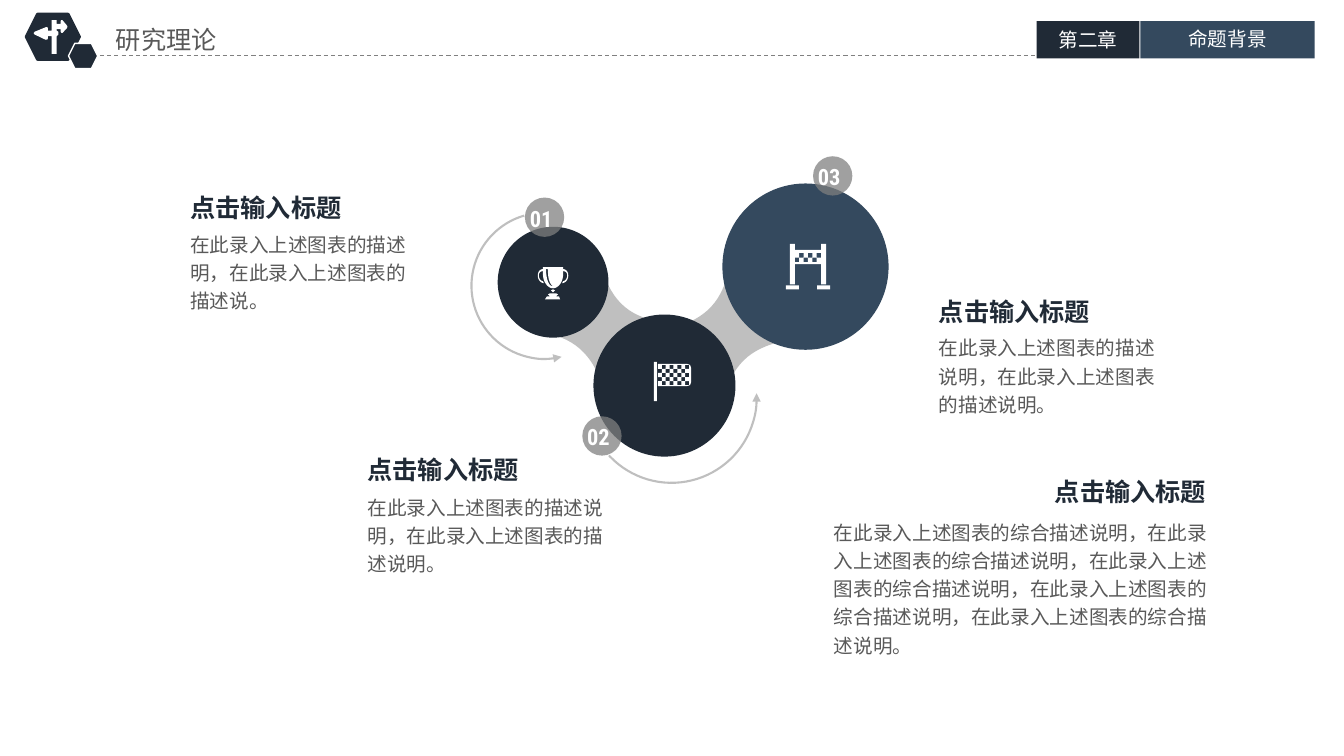
from dataclasses import dataclass
from itertools import product

from lxml import etree
from pptx import Presentation
from pptx import util as u
from pptx.dml.color import RGBColor
from pptx.enum import dml, shapes, text
from pptx.oxml.ns import qn

COLS, ROWS = 133.4, 75
NAVY, BLUE, WHITE = "202A36", "34495E", "FFFFFF"
DARK_GREY, GREY, LIGHT_GREY = "595959", "7F7F7F", "BFBFBF"
SANS, CONDENSED = "Noto Sans CJK SC", "Roboto Condensed"
MSO = shapes.MSO_SHAPE
Points = list[tuple[float, float]]

prs = Presentation()
prs.slide_width, prs.slide_height = u.Inches(13.34), u.Inches(7.5)
s = prs.slides.add_slide(prs.slide_layouts[6])


@dataclass
class Box:
    x: float
    y: float
    w: float
    h: float


@dataclass
class Stage:
    disc: Box
    color: str
    badge: tuple[float, float]
    icon: list[Points]


@dataclass
class Caption:
    title: str
    title_box: Box
    body: str
    body_box: Box
    align: str = "LEFT"
    title_pad: float = 1


@dataclass
class Tab:
    label: str
    box: Box
    label_y: float
    color: str


def col(n: float) -> int:
    return round(prs.slide_width * n / COLS)


def row(n: float) -> int:
    return round(prs.slide_height * n / ROWS)


def place(b: Box) -> tuple[int, int, int, int]:
    return col(b.x), row(b.y), col(b.w), row(b.h)


def rgb(color: str) -> RGBColor:
    return RGBColor.from_string(color)


def paint(sp, fill: str | None = None, line: str | None = None, width: float = 1,
          alpha: int = 100):
    sp.shadow.inherit = False
    if fill:
        sp.fill.solid()
        sp.fill.fore_color.rgb = rgb(fill)
        if alpha < 100:
            clr = sp.fill._xPr.find(".//" + qn("a:srgbClr"))
            etree.SubElement(clr, qn("a:alpha"), val=str(alpha * 1000))
    else:
        sp.fill.background()
    if line:
        sp.line.color.rgb = rgb(line)
        sp.line.width = u.Pt(width)
    else:
        sp.line.fill.background()
    return sp


def draw(kind: MSO, b: Box, **style):
    return paint(s.shapes.add_shape(kind, *place(b)), **style)


def write(words: str, b: Box, size: float = 14, color: str = DARK_GREY, bold: bool = False,
          font: str = SANS, align: str = "LEFT", anchor: str = "TOP", spacing: float = 1,
          pad: float = 1, grow: bool = True) -> None:
    tf = s.shapes.add_textbox(*place(b)).text_frame
    tf.word_wrap = True
    tf.auto_size = text.MSO_AUTO_SIZE.SHAPE_TO_FIT_TEXT if grow else text.MSO_AUTO_SIZE.NONE
    tf.vertical_anchor = text.MSO_ANCHOR[anchor]
    tf.margin_left = tf.margin_right = col(pad)
    tf.margin_top = tf.margin_bottom = row(pad / 2)
    p = tf.paragraphs[0]
    p.alignment = text.PP_ALIGN[align]
    p.line_spacing = spacing
    r = p.add_run()
    r.text = words
    r.font.size, r.font.bold, r.font.name = u.Pt(size), bold, font
    r.font.color.rgb = rgb(color)
    etree.SubElement(r._r.get_or_add_rPr(), qn("a:ea"), typeface=font)


def outline(contours: list[Points], fill: str) -> None:
    loops = [[(col(x), row(y)) for x, y in c] for c in contours]
    fb = s.shapes.build_freeform(*loops[0][0])
    fb.add_line_segments(loops[0][1:], close=True)
    for loop in loops[1:]:
        fb.move_to(*loop[0])
        fb.add_line_segments(loop[1:], close=True)
    paint(fb.convert_to_shape(), fill)


def rect(x: float, y: float, w: float, h: float) -> Points:
    return [(x, y), (x + w, y), (x + w, y + h), (x, y + h)]


def hole(points: Points) -> Points:
    return points[::-1]


def checks(b: Box, cols: int, rows: int, parity: int) -> list[Points]:
    w, h = b.w / cols, b.h / rows
    return [rect(b.x + i * w, b.y + j * h, w, h)
            for j, i in product(range(rows), range(cols)) if (i + j) % 2 == parity]


def curve(*ctrl: tuple[float, float], steps: int = 16) -> Points:
    weights = [((1 - t) ** 3, 3 * t * (1 - t) ** 2, 3 * t * t * (1 - t), t ** 3)
               for t in (i / steps for i in range(steps + 1))]
    return [(sum(k * c[0] for k, c in zip(ks, ctrl)), sum(k * c[1] for k, c in zip(ks, ctrl)))
            for ks in weights]


def mirror(points: Points, axis: float) -> Points:
    return [(2 * axis - x, y) for x, y in points]


def arc(b: Box, turn: float, start: float, end: float) -> None:
    sp = draw(MSO.ARC, b, line=LIGHT_GREY, width=1.5)
    sp.rotation = turn
    sp.adjustments[0], sp.adjustments[1] = start, end
    etree.SubElement(sp.line._get_or_add_ln(), qn("a:headEnd"), type="triangle")


SIGNPOST = [[(66.4, 25.2), (62.2, 20.2), (61, 19.9), (60.2, 20.8), (60.2, 23.7), (56.3, 23.7),
             (56.3, 19.9), (51.2, 19.9), (51.2, 30.3), (47.7, 30.3), (47.5, 27.4), (46, 26.8),
             (34.5, 31.5), (33.3, 33), (34.5, 34.3), (45.3, 39.5), (47, 39.3), (47.7, 38),
             (47.7, 35.9), (51.2, 35.9), (51.2, 53.4), (56.3, 53.4), (56.3, 36), (57.9, 34.3),
             (57.9, 31.5), (56.3, 30.4), (56.3, 29), (60.2, 29), (60.2, 31.5), (61, 32.7),
             (62.2, 32.5), (66.4, 28), (67, 26.5)]]
SIGNPOST = [[(x / 10, y / 10) for x, y in c] for c in SIGNPOST]

HANDLE = [*curve((55.9, 26.7), (56.8, 26.7), (56.4, 28.1), (55.8, 28.1)),
          *curve((55.9, 27.9), (56.2, 27.9), (56.4, 26.9), (55.9, 26.9))]
HANDLE = [*curve((55.9, 26.7), (56.6, 26.7), (56.6, 28), (55.8, 28.1)),
          *curve((55.9, 27.9), (56.4, 27.8), (56.5, 26.9), (55.9, 26.9))]
TROPHY = [
    [(53.9, 26.5), (55.9, 26.5),
     *curve((55.9, 27.2), (55.9, 28), (55.4, 28.6), (54.9, 28.6)),
     *curve((54.9, 28.6), (54.4, 28.6), (53.9, 28), (53.9, 27.2))],
    hole([*curve((54.4, 26.7), (54.4, 26.7), (54.3, 28), (54.9, 28.4)),
          *curve((54.9, 28.4), (54.2, 28.4), (54.2, 26.7), (54.2, 26.7))]),
    HANDLE,
    mirror(HANDLE, 54.9),
    [(54.7, 28.8), (54.9, 28.7), (55.1, 28.8), (54.9, 29)],
    [(54.4, 29.2), (54.6, 29.1), (55.2, 29.1), (55.4, 29.2), (55.2, 29.4), (54.6, 29.4)],
    [(54.3, 29.4), (55.5, 29.4), (55.6, 29.7), (54.1, 29.7)],
]
FLAG = [
    rect(64.9, 35.9, 0.3, 3.9),
    [(65.3, 36.1), (68.2, 36.1), (68.5, 36.2), (68.6, 36.5), (68.6, 37.9), (68.5, 38.2),
     (68.2, 38.3), (65.3, 38.3)],
    hole(rect(65.3, 36.2, 3.1, 2)),
    *checks(Box(65.3, 36.2, 3.1, 2), 8, 5, 0),
]
GATE = [
    rect(78.4, 24.2, 0.5, 4), rect(81.5, 24.2, 0.5, 4),
    rect(78, 28.3, 1.3, 0.4), rect(81.1, 28.3, 1.3, 0.4),
    rect(78.9, 24.8, 2.6, 1.4),
    *map(hole, checks(Box(78.9, 25.1, 2.6, 0.9), 6, 2, 1)),
]
STAGES = [
    Stage(Box(49.4, 22.5, 11, 11), NAVY, (52.1, 19.6), TROPHY),
    Stage(Box(58.9, 31.2, 14.1, 14.1), NAVY, (57.8, 41.3), FLAG),
    Stage(Box(71.7, 18.2, 16.5, 16.5), BLUE, (80.7, 15.5), GATE),
]
BRIDGES = [
    [(72.2, 27.3), *curve((78, 33.8), (74.2, 34.5), (72.7, 36.5), (72, 39.1)),
     *curve((66.2, 32.6), (68.8, 32.1), (71.3, 30.9), (72.2, 27.3))],
    [(53.8, 33), *curve((59.7, 26.5), (60.8, 30.3), (62.9, 31.5), (65.6, 31.9)),
     *curve((59.8, 38.4), (59.1, 35.9), (57.5, 33.5), (53.8, 33))],
]
TABS = [
    Tab("第二章", Box(102.9, 2.1, 10.2, 3.7), 2.4, NAVY),
    Tab("命题背景", Box(113.2, 2.1, 17.3, 3.7), 2.3, BLUE),
]
HEADING = "点击输入标题"
NOTE = "在此录入上述图表的描述说明，在此录入上述图表的描述说明。"
SUMMARY = "，".join(["在此录入上述图表的综合描述说明"] * 5) + "。"
CAPTIONS = [
    Caption(HEADING, Box(17.9, 18.6, 26.1, 4),
            "在此录入上述图表的描述明，在此录入上述图表的描述说。", Box(17.9, 22.1, 25.2, 9.5)),
    Caption(HEADING, Box(35.5, 44.6, 23.5, 4), NOTE, Box(35.5, 48.2, 25.7, 9.5)),
    Caption(HEADING, Box(92.2, 28.9, 24.9, 4), NOTE, Box(92.2, 32.4, 24.9, 9.5)),
    Caption(HEADING, Box(87.1, 46.6, 33.9, 4.3), SUMMARY, Box(81.8, 50.7, 40, 15.1),
            "RIGHT", 1.3),
]

write("研究理论", Box(10.8, 2.1, 20.5, 3.8), size=18, pad=0.7)
draw(MSO.HEXAGON, Box(2.6, 1.4, 5.3, 4.5), fill=NAVY, line=NAVY, width=2)
rule = s.shapes.add_connector(shapes.MSO_CONNECTOR.STRAIGHT,
                              col(9.2), row(5.5), col(102.9), row(5.5))
rule.line.color.rgb = rgb("808080")
rule.line.width = u.Pt(0.75)
rule.line.dash_style = dml.MSO_LINE.DASH
etree.SubElement(rule._element.spPr, qn("a:effectLst"))
for tab in TABS:
    draw(MSO.RECTANGLE, tab.box, fill=tab.color)
    write(tab.label, Box(tab.box.x, tab.label_y, tab.box.w, 3.1), color=WHITE,
          align="CENTER", pad=0.7)
draw(MSO.HEXAGON, Box(6.8, 4.3, 2.9, 2.5), fill=NAVY, line=WHITE)
outline(SIGNPOST, WHITE)

for bridge in BRIDGES:
    outline([bridge], LIGHT_GREY)
for stage in STAGES:
    draw(MSO.OVAL, stage.disc, fill=stage.color)
    outline(stage.icon, WHITE)
arc(Box(46.8, 21.1, 14.5, 14.5), 253.9, 109.56, 0)
arc(Box(58.2, 31, 16.9, 16.9), 136.3, 132.45, 0.57)
for n, stage in enumerate(STAGES, 1):
    x, y = stage.badge
    draw(MSO.OVAL, Box(x, y, 3.9, 3.9), fill=GREY, alpha=74)
    write(f"{n:02}", Box(x - 0.5, y + 0.1, 4.9, 3.9), size=16, color=WHITE, bold=True,
          font=CONDENSED, anchor="MIDDLE", grow=False)

for c in CAPTIONS:
    write(c.title, c.title_box, size=18, color=NAVY, bold=True, align=c.align, pad=c.title_pad)
    write(c.body, c.body_box, spacing=1.2)

prs.save("out.pptx")
